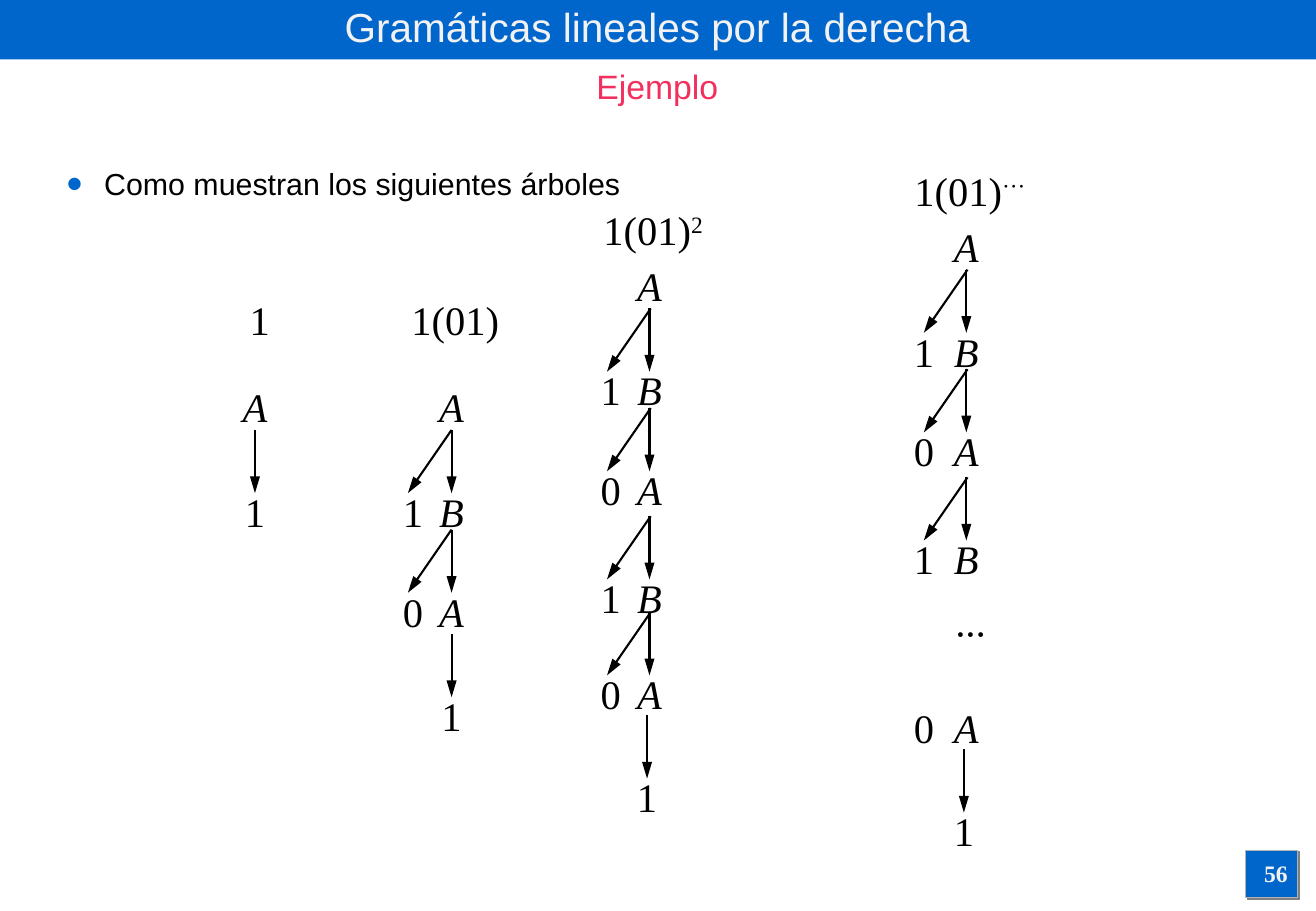
"""Slide with the derivation trees of a right-linear grammar."""
from collections import namedtuple

from lxml import etree
from pptx import Presentation
from pptx.dml.color import RGBColor
from pptx.enum.shapes import MSO_CONNECTOR as Link, MSO_SHAPE as Shape
from pptx.enum.text import MSO_ANCHOR as Anchor, MSO_AUTO_SIZE as Fit, PP_ALIGN as Align
from pptx.oxml.ns import qn
from pptx.util import Pt

PX = 9144
BLUE = RGBColor(0x00, 0x66, 0xCC)
GREY = RGBColor(0xB2, 0xB2, 0xB2)
PALE = RGBColor(0xF2, 0xF2, 0xF2)
PINK = RGBColor(0xF2, 0x30, 0x5E)
BLACK = RGBColor(0x00, 0x00, 0x00)

Tree = namedtuple("Tree", "spine fork leaf tip title title_x title_y root rows")
Row = namedtuple("Row", "top leaf node linked", defaults=[True])

TREES = [
    Tree(210, 210, 0, 210, ["1"], 214, 238, 310, [Row(396, "", "1")]),
    Tree(372, 372, 340, 372, ["1(01)"], 375, 238, 310,
         [Row(396, "1", "B"), Row(478, "0", "A"), Row(564, "", "1")]),
    Tree(535, 536, 503, 533, ["1(01)", "2"], 538, 164, 210,
         [Row(296, "1", "B"), Row(378, "0", "A"), Row(467, "1", "B"),
          Row(546, "0", "A"), Row(631, "", "1")]),
    Tree(796, 797, 761, 794, ["1(01)", "···"], 799, 132, 178,
         [Row(264, "1", "B"), Row(346, "0", "A"), Row(435, "1", "B"),
          Row(574, "0", "A", False), Row(659, "", "1")]),
]


class TreeSlide:
    """Draws styled elements on one page, measured in px."""

    def __init__(self, deck):
        self.page = deck.slides.add_slide(deck.slide_layouts[6])
        self.symbol = {"name": "Times New Roman", "size": Pt(24)}

    def panel(self, left, top, width, height, border=None):
        box = self.page.shapes.add_shape(
            Shape.RECTANGLE, left * PX, top * PX, width * PX, height * PX)
        box.shadow.inherit = False
        box.fill.solid()
        box.fill.fore_color.rgb = BLUE
        if border is None:
            box.line.fill.background()
        else:
            box.line.color.rgb = border
            box.line.width = Pt(0.75)
        return box

    def drop_shadow(self, box):
        effects = box._element.spPr.find(qn("a:effectLst"))
        shadow = etree.SubElement(effects, qn("a:outerShdw"), dist="17780",
                                  dir="2700000", algn="ctr", rotWithShape="0")
        etree.SubElement(shadow, qn("a:srgbClr"), val="808080")

    def text(self, left, top, width, height, parts, style, color=BLACK,
             align=Align.CENTER, **frame_format):
        box = self.page.shapes.add_textbox(left * PX, top * PX, width * PX, height * PX)
        for key, value in {"word_wrap": True, **frame_format}.items():
            setattr(box.text_frame, key, value)
        para = box.text_frame.paragraphs[0]
        para.alignment = align
        for part in parts:
            span = para.add_run()
            span.text = part
            for key, value in style.items():
                setattr(span.font, key, value)
            span.font.color.rgb = color
            if part != parts[0]:
                span._r.get_or_add_rPr().set("baseline", "30000")
        return para

    def bullet(self, para):
        props = para._p.get_or_add_pPr()
        props.set("marL", str(31 * PX))
        props.set("indent", str(-31 * PX))
        tint = etree.SubElement(props, qn("a:buClr"))
        etree.SubElement(tint, qn("a:srgbClr"), val=str(BLUE))
        etree.SubElement(props, qn("a:buSzPct"), val="150000")
        etree.SubElement(props, qn("a:buFont"), typeface="Arial")
        etree.SubElement(props, qn("a:buChar"), char="•")

    def label(self, center, top, *parts, width=40, italic=False):
        self.text(center - width // 2, top, width, 50, parts,
                  {**self.symbol, "italic": italic},
                  word_wrap=False, auto_size=Fit.SHAPE_TO_FIT_TEXT)

    def arrow(self, start_x, end_x, row_top):
        link = self.page.shapes.add_connector(
            Link.STRAIGHT, start_x * PX, (row_top - 42) * PX, end_x * PX, (row_top + 10) * PX)
        link.line.color.rgb = BLACK
        link.line.width = Pt(1.25)
        props = link._element.spPr
        etree.SubElement(props.find(qn("a:ln")), qn("a:tailEnd"),
                         type="triangle", w="med", len="lg")
        etree.SubElement(props, qn("a:effectLst"))

    def tree(self, tree):
        self.label(tree.title_x, tree.title_y, *tree.title, width=140)
        self.label(tree.spine, tree.root, "A", italic=True)
        for row in tree.rows:
            center = tree.spine if row.leaf else tree.tip
            self.label(center, row.top, row.node, italic=row.node.isalpha())
            if row.linked:
                self.arrow(center, center, row.top)
            if row.leaf:
                self.label(tree.leaf, row.top, row.leaf, width=36)
                if row.linked:
                    self.arrow(tree.fork, tree.fork - 36, row.top)


def main():
    deck = Presentation()
    deck.slide_width, deck.slide_height = 1084 * PX, 750 * PX
    slide = TreeSlide(deck)
    slide.drop_shadow(slide.panel(1026, 700, 43, 39, GREY))
    slide.panel(0, 0, 1084, 49)
    intro = slide.text(45, 131, 996, 185, ["Como muestran los siguientes árboles"],
                       {"name": "Arial", "size": Pt(18)}, align=Align.LEFT)
    slide.bullet(intro)
    slide.text(0, 0, 1083, 44, ["Gramáticas lineales por la derecha"],
               {"name": "Arial", "size": Pt(24)}, PALE, vertical_anchor=Anchor.MIDDLE)
    slide.text(0, 49, 1083, 44, ["Ejemplo"], {"name": "Arial", "size": Pt(20)}, PINK)
    for tree in TREES:
        slide.tree(tree)
    slide.label(799, 496, "···", width=80, italic=True)
    slide.text(1024, 702, 54, 35, ["56"],
               {"name": "Times New Roman", "size": Pt(14), "bold": True}, PALE)
    deck.save("out.pptx")


if __name__ == "__main__":
    main()
